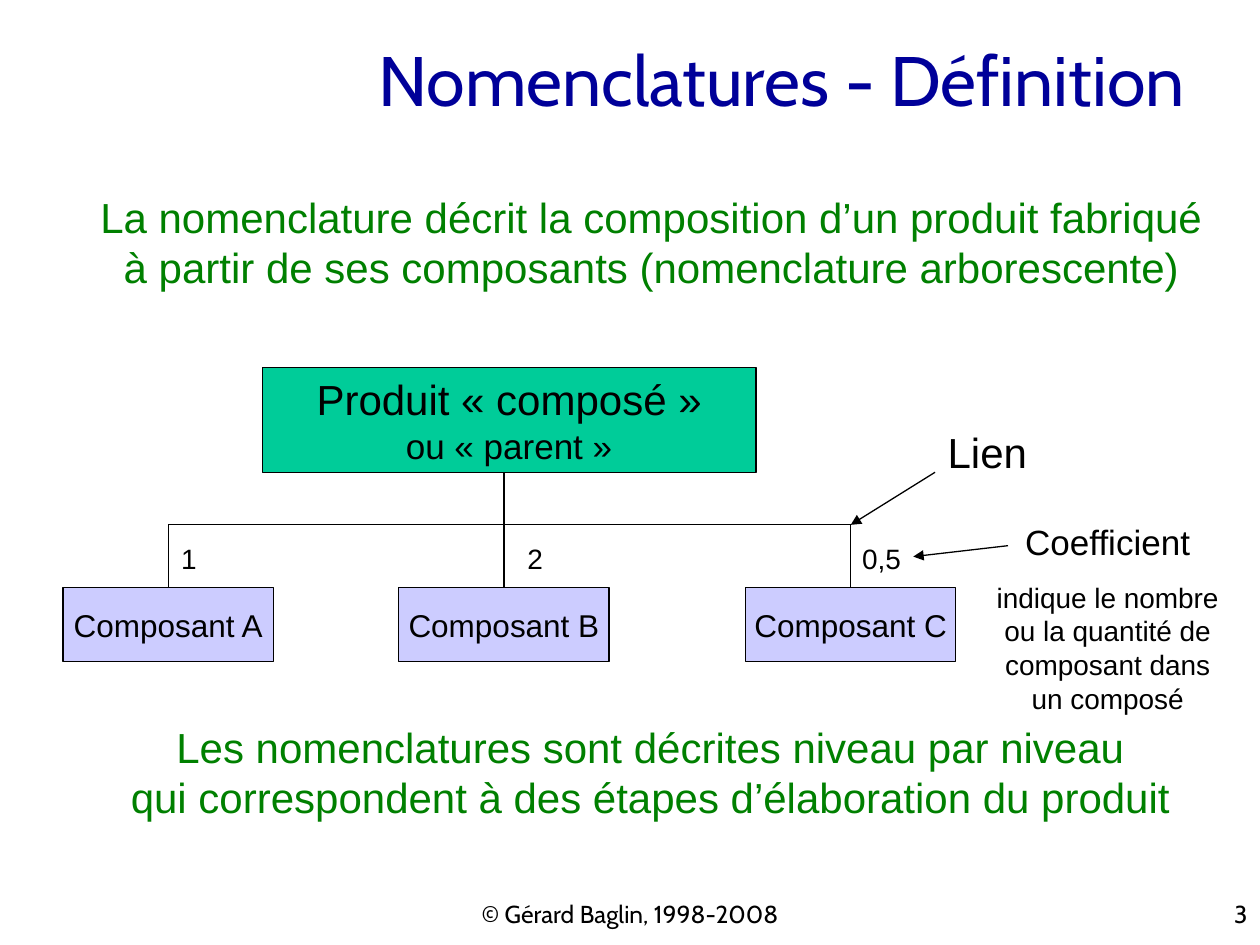
from lxml import etree
from pptx import Presentation
from pptx.dml.color import RGBColor
from pptx.enum.shapes import MSO_CONNECTOR, MSO_SHAPE
from pptx.enum.text import MSO_ANCHOR, MSO_AUTO_SIZE, PP_ALIGN
from pptx.oxml.ns import qn
from pptx.util import Cm, Pt

RECTANGLE = MSO_SHAPE.RECTANGLE
STRAIGHT = MSO_CONNECTOR.STRAIGHT
CENTER, RIGHT = PP_ALIGN.CENTER, PP_ALIGN.RIGHT
TOP, MIDDLE = MSO_ANCHOR.TOP, MSO_ANCHOR.MIDDLE
NO_FIT, GROW = MSO_AUTO_SIZE.NONE, MSO_AUTO_SIZE.SHAPE_TO_FIT_TEXT

COLORS = {
    "title": "000099",
    "statement": "008000",
    "ink": "000000",
    "parent": "00CC99",
    "component": "CCCCFF",
}
BODY_FONT, HEADING_FONT = "Arial", "Cabin"
TITLE_ONLY = 5
TOP_SIDE = 0


def write(frame, lines, color="ink", font=BODY_FONT, align=CENTER,
          anchor=MIDDLE, wrap=False, fit=NO_FIT, gap=0):
    """Fill a text frame with (text, size) paragraphs."""
    frame.word_wrap = wrap
    frame.auto_size = fit
    frame.vertical_anchor = anchor
    for index, (text, size) in enumerate(lines):
        paragraph = frame.add_paragraph() if index else frame.paragraphs[0]
        paragraph.text = text
        paragraph.alignment = align
        if index:
            paragraph.space_before = Pt(gap)
        for run in paragraph.runs:
            run.font.name = font
            run.font.size = Pt(size)
            run.font.color.rgb = RGBColor.from_string(COLORS[color])


def add_text(slide, left, top, width, height, lines, **style):
    box = slide.shapes.add_textbox(Cm(left), Cm(top), Cm(width), Cm(height))
    write(box.text_frame, lines, **style)


def add_box(slide, left, top, width, height, fill, lines):
    box = slide.shapes.add_shape(
        RECTANGLE, Cm(left), Cm(top), Cm(width), Cm(height))
    box.shadow.inherit = False
    box.fill.solid()
    box.fill.fore_color.rgb = RGBColor.from_string(COLORS[fill])
    box.line.color.rgb = RGBColor.from_string(COLORS["ink"])
    box.line.width = Pt(0.75)
    write(box.text_frame, lines)
    return box


def add_line(slide, start, end, arrow=False):
    line = slide.shapes.add_connector(STRAIGHT, *start, *end)
    line.line.color.rgb = RGBColor.from_string(COLORS["ink"])
    line.line.width = Pt(0.75)
    if arrow:
        etree.SubElement(line.line._get_or_add_ln(), qn("a:tailEnd"),
                         type="triangle")
    etree.SubElement(line._element.spPr, qn("a:effectLst"))
    return line


def add_tree(slide):
    """Draw the parent, its components and the links between them."""
    parent = add_box(slide, 5.29, 7.41, 9.95, 2.11, "parent",
                     [("Produit « composé »", 24), ("ou « parent »", 20)])
    components = [
        add_box(slide, left, 11.85, 4.24, 1.48, "component",
                [(f"Composant {letter}", 18)])
        for letter, left in (("A", 1.27), ("B", 8.04), ("C", 15.03))
    ]
    rail = Cm(10.58)
    centers = [box.left + box.width // 2 for box in components]
    link_tops = [rail, parent.top + parent.height, rail]
    for component, center, link_top in zip(components, centers, link_tops):
        link = add_line(slide, (center, link_top), (center, component.top))
        link.end_connect(component, TOP_SIDE)
    add_line(slide, (centers[0], rail), (centers[-1], rail))

    # Quantities beside the links
    for quantity, left, width in (("1", 3.4, 0.81), ("2", 10.38, 0.81),
                                  ("0,5", 17.12, 1.3)):
        add_text(slide, left, 10.79, width, 0.94, [(quantity, 16)], fit=GROW)

    # Explanations with arrows
    add_text(slide, 18.85, 8.47, 2.11, 1.27, [("Lien", 24)], fit=GROW)
    add_line(slide, (Cm(18.85), Cm(9.52)), (centers[-1], rail), arrow=True)
    add_text(slide, 19.69, 10.37, 5.28, 4.17,
             [("Coefficient", 20),
              ("indique le nombre ou la quantité de composant dans un composé",
               16)],
             wrap=True, fit=GROW, gap=10)
    add_line(slide, (Cm(20.32), Cm(11)), (Cm(18.41), Cm(11.22)), arrow=True)


def main():
    presentation = Presentation()
    presentation.slide_width, presentation.slide_height = Cm(25.4), Cm(19.05)
    slide = presentation.slides.add_slide(
        presentation.slide_layouts[TITLE_ONLY])

    # Title
    title = slide.shapes.title
    title.left, title.top = Cm(0.84), Cm(0)
    title.width, title.height = Cm(23.29), Cm(3.18)
    write(title.text_frame, [("Nomenclatures - Définition", 40)],
          color="title", font=HEADING_FONT, align=RIGHT, wrap=True)

    # Statements above and below the tree
    add_text(slide, 1.63, 3.73, 23, 2.29,
             [("La nomenclature décrit la composition d’un produit fabriqué\n"
               "à partir de ses composants (nomenclature arborescente)", 24)],
             color="statement", fit=GROW)
    add_tree(slide)
    add_text(slide, 2.21, 14.41, 21.8, 2.29,
             [("Les nomenclatures sont décrites niveau par niveau\n"
               "qui correspondent à des étapes d’élaboration du produit", 24)],
             color="statement", fit=GROW)

    # Footer
    for text, left, width, align in (
            ("© Gérard Baglin, 1998-2008", 8.68, 8.05, CENTER),
            ("3", 20.12, 5.28, RIGHT)):
        add_text(slide, left, 17.99, width, 0.64, [(text, 14)],
                 font=HEADING_FONT, align=align, anchor=TOP, wrap=True)

    presentation.save("out.pptx")


if __name__ == "__main__":
    main()
